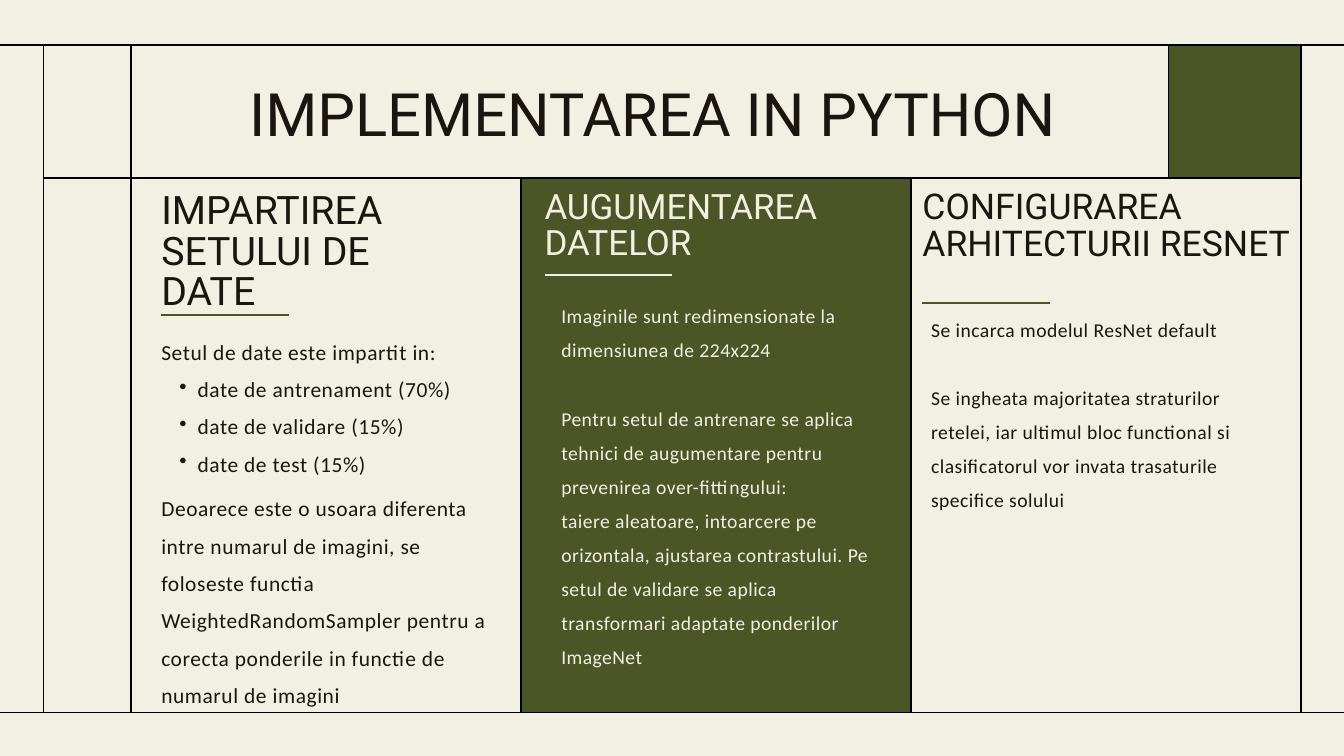
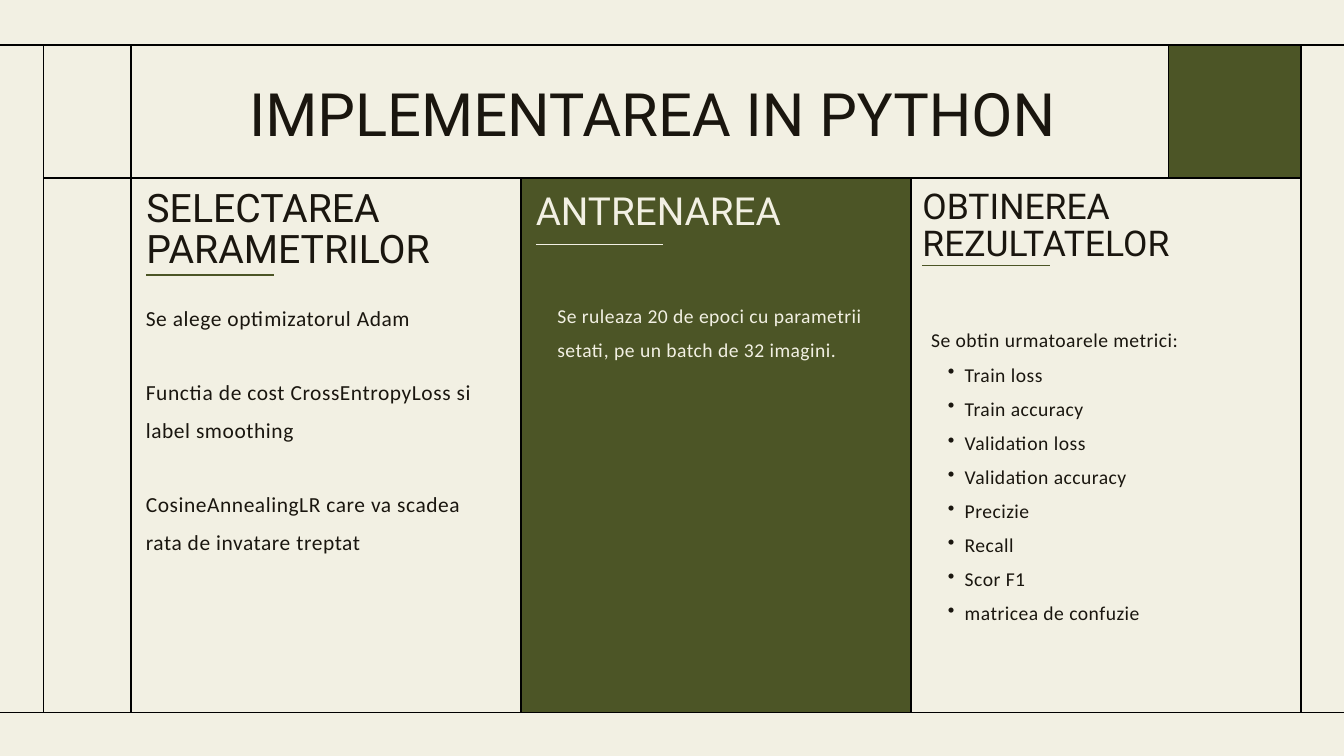
from dataclasses import dataclass

from lxml import etree
from pptx import Presentation
from pptx.dml.color import RGBColor
from pptx.enum.shapes import MSO_CONNECTOR, MSO_SHAPE
from pptx.enum.text import MSO_ANCHOR, MSO_AUTO_SIZE, PP_ALIGN
from pptx.oxml.ns import qn
from pptx.util import Inches, Pt

STRAIGHT = MSO_CONNECTOR.STRAIGHT
RECTANGLE = MSO_SHAPE.RECTANGLE
TOP = MSO_ANCHOR.TOP
NO_FIT = MSO_AUTO_SIZE.NONE
LEFT, CENTER = PP_ALIGN.LEFT, PP_ALIGN.CENTER

COLORS = {"cream": "F2F0E3", "olive": "4C5526", "ink": "1A160F", "line": "000000"}
WIDTH, HEIGHT = 20, 11.25
MARGIN, GRID_LEFT, GRID_RIGHT = 0.65, 1.95, 19.36
BAND_TOP, BODY_TOP, BODY_BOTTOM = 0.67, 2.65, 10.6
ACCENT_LEFT = 17.39
COLUMN_WIDTH = (GRID_RIGHT - GRID_LEFT) / 3
COLUMN_EDGES = [GRID_LEFT + i * COLUMN_WIDTH for i in range(4)]
RULE_LENGTH = 1.9
HEADING_LEADING, BODY_LEADING = 1.03, 1.74
TITLE = "IMPLEMENTAREA IN PYTHON"
PLAIN, SPACED, BULLET = "plain", "spaced", "bullet"


@dataclass
class Column:
    """Hold the content of a column, with boxes measured from its top left corner."""

    heading: str
    heading_size: float
    heading_box: tuple
    rule_y: float
    body_size: float
    bodies: list


SLIDES = [
    [
        Column("IMPARTIREA SETULUI DE DATE", 42, (0.45, 0.21, 4.32, 1.83), 2.04, 23, [
            ((0.45, 2.22, 5.05, 2.17), [
                (PLAIN, "Setul de date este impartit in:"),
                (BULLET, "date de antrenament (70%)"),
                (BULLET, "date de validare (15%)"),
                (BULLET, "date de test (15%)"),
            ]),
            ((0.45, 4.55, 5.05, 3.28), [
                (PLAIN, "Deoarece este o usoara diferenta intre numarul de imagini, se "
                        "foloseste functia WeightedRandomSampler pentru a corecta "
                        "ponderile in functie de numarul de imagini"),
            ]),
        ]),
        Column("AUGUMENTAREA DATELOR", 37.4, (0.35, 0.18, 5.04, 1.1), 1.44, 21, [
            ((0.6, 1.72, 4.61, 6.47), [
                (PLAIN, "Imaginile sunt redimensionate la dimensiunea de 224x224"),
                (SPACED, "Pentru setul de antrenare se aplica tehnici de augumentare "
                         "pentru prevenirea over-fittingului:"),
                (PLAIN, "taiere aleatoare, intoarcere pe orizontala, ajustarea "
                        "contrastului. Pe setul de validare se aplica transformari "
                        "adaptate ponderilor ImageNet"),
            ]),
        ]),
        Column("CONFIGURAREA ARHITECTURII RESNET", 38, (0.17, 0.18, 5.98, 1.66), 1.86, 21, [
            ((0.3, 1.92, 5.24, 3.47), [
                (PLAIN, "Se incarca modelul ResNet default"),
                (SPACED, "Se ingheata majoritatea straturilor retelei, iar ultimul bloc "
                         "functional si clasificatorul vor invata trasaturile specifice "
                         "solului"),
            ]),
        ]),
    ],
    [
        Column("SELECTAREA PARAMETRILOR", 42, (0.23, 0.18, 5.35, 1.23), 1.44, 23, [
            ((0.22, 1.71, 5.05, 4.38), [
                (PLAIN, "Se alege optimizatorul Adam"),
                (SPACED, "Functia de cost CrossEntropyLoss si label smoothing"),
                (SPACED, "CosineAnnealingLR care va scadea rata de invatare treptat"),
            ]),
        ]),
        Column("ANTRENAREA", 41.4, (0.22, 0.23, 5.76, 0.62), 0.99, 21, [
            ((0.54, 1.72, 4.61, 1.47), [
                (PLAIN, "Se ruleaza 20 de epoci cu parametrii setati, pe un batch de "
                        "32 imagini."),
            ]),
        ]),
        Column("OBTINEREA REZULTATELOR", 38, (0.17, 0.18, 5.98, 1.12), 1.3, 21, [
            ((0.3, 2.08, 5.24, 4.97), [
                (PLAIN, "Se obtin urmatoarele metrici:"),
                *((BULLET, metric) for metric in (
                    "Train loss", "Train accuracy", "Validation loss",
                    "Validation accuracy", "Precizie", "Recall", "Scor F1",
                    "matricea de confuzie")),
            ]),
        ]),
    ],
]


def color(name):
    """Return the named palette colour."""
    return RGBColor.from_string(COLORS[name])


def set_all(target, **values):
    """Set each given attribute on the target."""
    for attribute, value in values.items():
        setattr(target, attribute, value)


def draw_line(slide, x1, y1, x2, y2, stroke="line"):
    """Draw a thin straight line without shadow."""
    line = slide.shapes.add_connector(STRAIGHT, *map(Inches, (x1, y1, x2, y2)))
    line.line.width = Pt(1.5)
    line.line.color.rgb = color(stroke)
    etree.SubElement(line._element.spPr, qn("a:effectLst"))


def draw_block(slide, left, top, right, bottom):
    """Fill the area between the given edges with olive."""
    block = slide.shapes.add_shape(
        RECTANGLE, *map(Inches, (left, top, right - left, bottom - top)))
    block.shadow.inherit = False
    block.fill.solid()
    block.fill.fore_color.rgb = color("olive")
    block.line.fill.background()


def prepare_frame(shape):
    """Give a text shape a plain wrapping frame without insets."""
    frame = shape.text_frame
    set_all(frame, word_wrap=True, auto_size=NO_FIT, vertical_anchor=TOP,
            margin_left=0, margin_top=0, margin_right=0, margin_bottom=0)
    return frame


def format_paragraph(paragraph, text, font, size, leading, ink, align=LEFT):
    """Write one run and format it with exact line spacing."""
    run = paragraph.add_run()
    run.text = text
    set_all(paragraph, alignment=align, line_spacing=Pt(round(size * leading, 1)))
    set_all(run.font, name=font, size=Pt(size))
    run.font.color.rgb = color(ink)
    return run


def add_bullet(paragraph, size):
    """Turn a paragraph into a hanging bullet scaled to its text size."""
    hang = Inches(round(size * 0.0118, 2))
    paragraph.level = 1
    properties = paragraph._p.get_or_add_pPr()
    properties.set("marL", str(2 * hang))
    properties.set("indent", str(-hang))
    etree.SubElement(properties, qn("a:buChar"), char="•")


def add_textbox(slide, box):
    """Add a text box and return its prepared frame."""
    return prepare_frame(slide.shapes.add_textbox(*map(Inches, box)))


def add_body(slide, box, paragraphs, size, ink):
    """Place body paragraphs, with spaced ones set off by one line."""
    frame = add_textbox(slide, box)
    for index, (kind, text) in enumerate(paragraphs):
        paragraph = frame.add_paragraph() if index else frame.paragraphs[0]
        if kind == BULLET:
            add_bullet(paragraph, size)
        run = format_paragraph(paragraph, text, "Calibri", size, BODY_LEADING, ink)
        run._r.get_or_add_rPr().set("spc", str(round(size / 40, 1) * 100).split(".")[0])
        if kind == SPACED:
            paragraph.space_before = paragraph.line_spacing


def add_column(slide, column, left, top, ink, rule_color):
    """Place heading, rule and body texts of a column at its corner."""
    def shift(box):
        """Move a box from column to slide coordinates."""
        return (left + box[0], top + box[1], *box[2:])

    heading_box = shift(column.heading_box)
    heading = add_textbox(slide, heading_box)
    format_paragraph(heading.paragraphs[0], column.heading, "Roboto",
                     column.heading_size, HEADING_LEADING, ink)
    rule_y = top + column.rule_y
    draw_line(slide, heading_box[0], rule_y, heading_box[0] + RULE_LENGTH, rule_y, rule_color)
    for box, paragraphs in column.bodies:
        add_body(slide, shift(box), paragraphs, column.body_size, ink)


def add_frame(slide):
    """Draw the background, olive blocks and grid lines."""
    slide.background.fill.solid()
    slide.background.fill.fore_color.rgb = color("cream")
    draw_block(slide, COLUMN_EDGES[1], BODY_TOP, COLUMN_EDGES[2], BODY_BOTTOM)
    draw_block(slide, ACCENT_LEFT, BAND_TOP, GRID_RIGHT, BODY_TOP)
    for y in (BAND_TOP, BODY_BOTTOM):
        draw_line(slide, 0, y, WIDTH, y)
    draw_line(slide, MARGIN, BODY_TOP, GRID_RIGHT, BODY_TOP)
    for x in (MARGIN, GRID_LEFT, GRID_RIGHT):
        draw_line(slide, x, BAND_TOP, x, BODY_BOTTOM)
    for x in COLUMN_EDGES[1:3]:
        draw_line(slide, x, BODY_TOP, x, BODY_BOTTOM)
    draw_line(slide, ACCENT_LEFT, BAND_TOP, ACCENT_LEFT, BODY_TOP)


def add_title(slide):
    """Place the shared title in the top band."""
    title = slide.shapes.title
    set_all(title, left=Inches(2.02), top=Inches(1.3),
            width=Inches(15.37), height=Inches(0.94))
    frame = prepare_frame(title)
    format_paragraph(frame.paragraphs[0], TITLE, "Roboto", 64, HEADING_LEADING, "ink", CENTER)


def add_columns_slide(deck, columns):
    """Build a slide with three columns, the middle one on olive."""
    slide = deck.slides.add_slide(deck.slide_layouts[5])
    add_frame(slide)
    add_title(slide)
    for index, column in enumerate(columns):
        ink, rule_color = ("cream", "cream") if index == 1 else ("ink", "olive")
        add_column(slide, column, COLUMN_EDGES[index], BODY_TOP, ink, rule_color)


def main():
    """Build and save the presentation."""
    deck = Presentation()
    set_all(deck, slide_width=Inches(WIDTH), slide_height=Inches(HEIGHT))
    for columns in SLIDES:
        add_columns_slide(deck, columns)
    deck.save("out.pptx")


if __name__ == "__main__":
    main()
